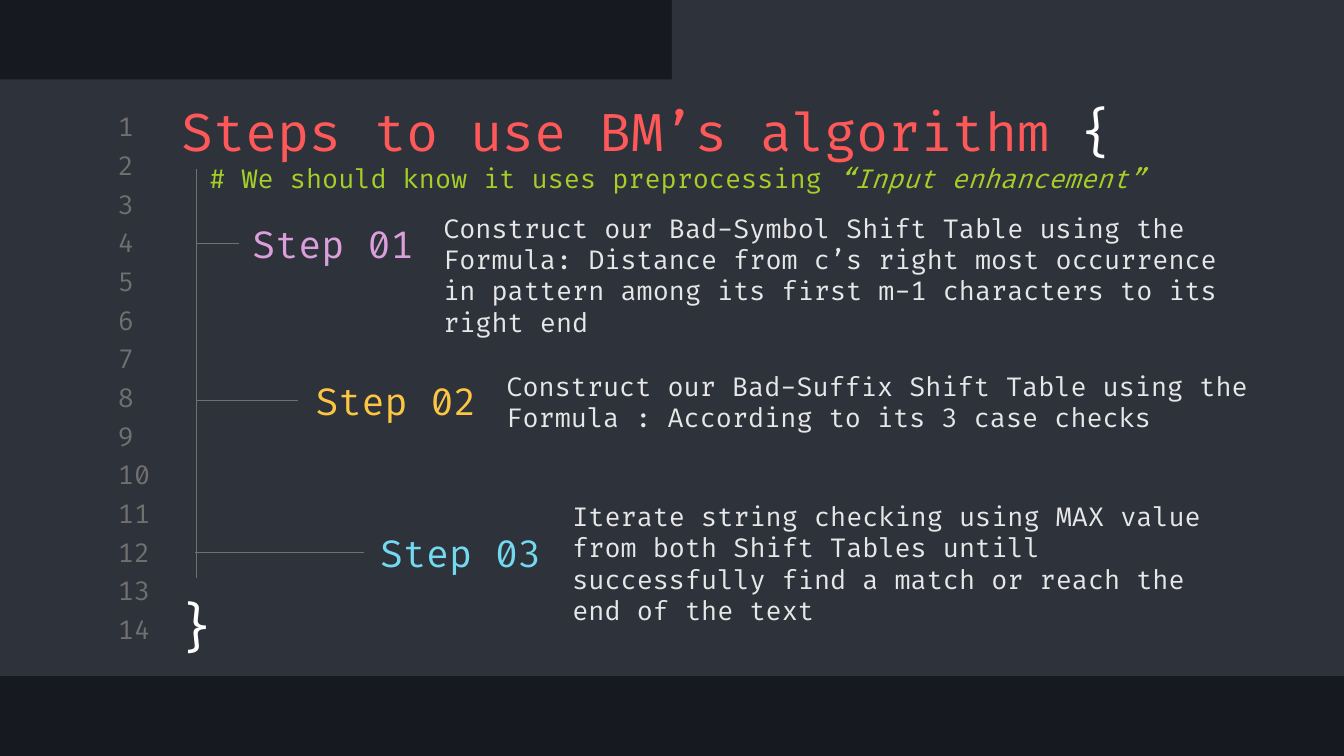
import pptx
import pptx.util
import pptx.dml.color
import pptx.enum.shapes
import pptx.enum.text
import pptx.oxml
from pptx.util import Inches

COLOURS = {
    "backdrop": "16191F", "panel": "2E323B", "grey": "707070", "red": "FF5858",
    "white": "FFFFFF", "pale": "E7E7E7", "green": "A5CF27",
    "violet": "DBA0DB", "yellow": "FCC642", "cyan": "72D9F0",
}
ANCHOR = pptx.enum.text.MSO_ANCHOR
ALIGN = pptx.enum.text.PP_ALIGN


def colour(name):
    return pptx.dml.color.RGBColor.from_string(COLOURS[name])


def write(box, place, spans, size, anchor=ANCHOR.MIDDLE, align=ALIGN.LEFT):
    """Place a box and fill it with spans of (text, colour name, italic)."""
    box.left, box.top, box.width, box.height = map(Inches, place)
    frame = box.text_frame
    frame_format = {
        "word_wrap": True, "auto_size": pptx.enum.text.MSO_AUTO_SIZE.NONE,
        "vertical_anchor": anchor,
        "margin_left": Inches(0.1), "margin_right": Inches(0.1),
        "margin_top": Inches(0.1), "margin_bottom": Inches(0.1),
    }
    for key, value in frame_format.items():
        setattr(frame, key, value)
    para = frame.paragraphs[0]
    para.alignment = align
    para.line_spacing = 1.0
    for text, tint, italic in spans:
        span = para.add_run()
        span.text = text
        span_format = {"name": "Fira Code", "size": pptx.util.Pt(size), "italic": italic}
        for key, value in span_format.items():
            setattr(span.font, key, value)
        span.font.color.rgb = colour(tint)


# Widescreen page, 16 to 9
deck = pptx.Presentation()
deck.slide_width = Inches(10)
deck.slide_height = Inches(10) * 9 // 16
page = deck.slides.add_slide(deck.slide_layouts[5])
shapes = page.shapes
page.background.fill.solid()
page.background.fill.fore_color.rgb = colour("backdrop")

# Editor panel and its tab
for place in [(0, 0.59, 10, 4.44), (5, 0, 5, 0.65)]:
    panel = shapes.add_shape(pptx.enum.shapes.MSO_SHAPE.RECTANGLE, *map(Inches, place))
    panel.shadow.inherit = False
    panel.fill.solid()
    panel.fill.fore_color.rgb = colour("panel")
    panel.line.fill.background()

# Line numbers
for index in range(14):
    box = shapes.add_textbox(0, 0, 0, 0)
    place = (0.78, 0.82 + index * 3.74 / 13, 0.47, 0.24)
    write(box, place, [(str(index + 1), "grey", False)], 14)

# Title, brought in front of the panel and the line numbers
title = shapes.title
title_spans = [("Steps to use BM’s algorithm ", "red", False), ("{", "white", False)]
write(title, (1.25, 0.64, 7.97, 0.59), title_spans, 28, ANCHOR.TOP)
box.element.addnext(title.element)

# Closing brace
brace = shapes.add_textbox(0, 0, 0, 0)
write(brace, (1.19, 4.32, 0.55, 0.67), [("}", "white", False)], 28, ANCHOR.TOP, ALIGN.CENTER)

# Steps: label, colour, label place, description place, description
steps = [
    ("Step 01", "violet", (1.78, 1.49, 1.42, 0.64), (3.2, 1.53, 6.3, 1.03),
     "Construct our Bad-Symbol Shift Table using the Formula: Distance from c’s right most "
     "occurrence in pattern among its first m-1 characters to its right end"),
    ("Step 02", "yellow", (2.25, 2.66, 1.42, 0.64), (3.67, 2.67, 6.3, 0.64),
     "Construct our Bad-Suffix Shift Table using the Formula : According to its 3 case checks"),
    ("Step 03", "cyan", (2.73, 3.79, 1.42, 0.64), (4.16, 3.87, 5.15, 0.64),
     "Iterate string checking using MAX value from both Shift Tables untill successfully "
     "find a match or reach the end of the text"),
]
for label, tint, label_place, text_place, text in steps:
    write(shapes.add_textbox(0, 0, 0, 0), label_place, [(label, tint, False)], 20)
    write(shapes.add_textbox(0, 0, 0, 0), text_place, [(text, "pale", False)], 14)

# Trunk and branches of the step tree
tree = [
    (1.46, 1.26, 1.46, 4.3),
    (1.46, 1.81, 1.78, 1.81),
    (1.46, 2.98, 2.22, 2.98),
    (1.45, 4.11, 2.71, 4.11),
]
for ends in tree:
    branch = shapes.add_connector(pptx.enum.shapes.MSO_CONNECTOR.STRAIGHT, *map(Inches, ends))
    branch.line.color.rgb = colour("grey")
    branch.line.width = pptx.util.Pt(0.75)
    effects = pptx.oxml.parse_xml(
        '<a:effectLst xmlns:a="http://schemas.openxmlformats.org/drawingml/2006/main"/>')
    branch.element.spPr.append(effects)

# Comment line under the title
comment = shapes.add_textbox(0, 0, 0, 0)
comment_spans = [
    ("# We should know it uses preprocessing ", "green", False),
    ("“Input enhancement”", "green", True),
]
write(comment, (1.46, 1.19, 7.57, 0.27), comment_spans, 14)

deck.save("out.pptx")
